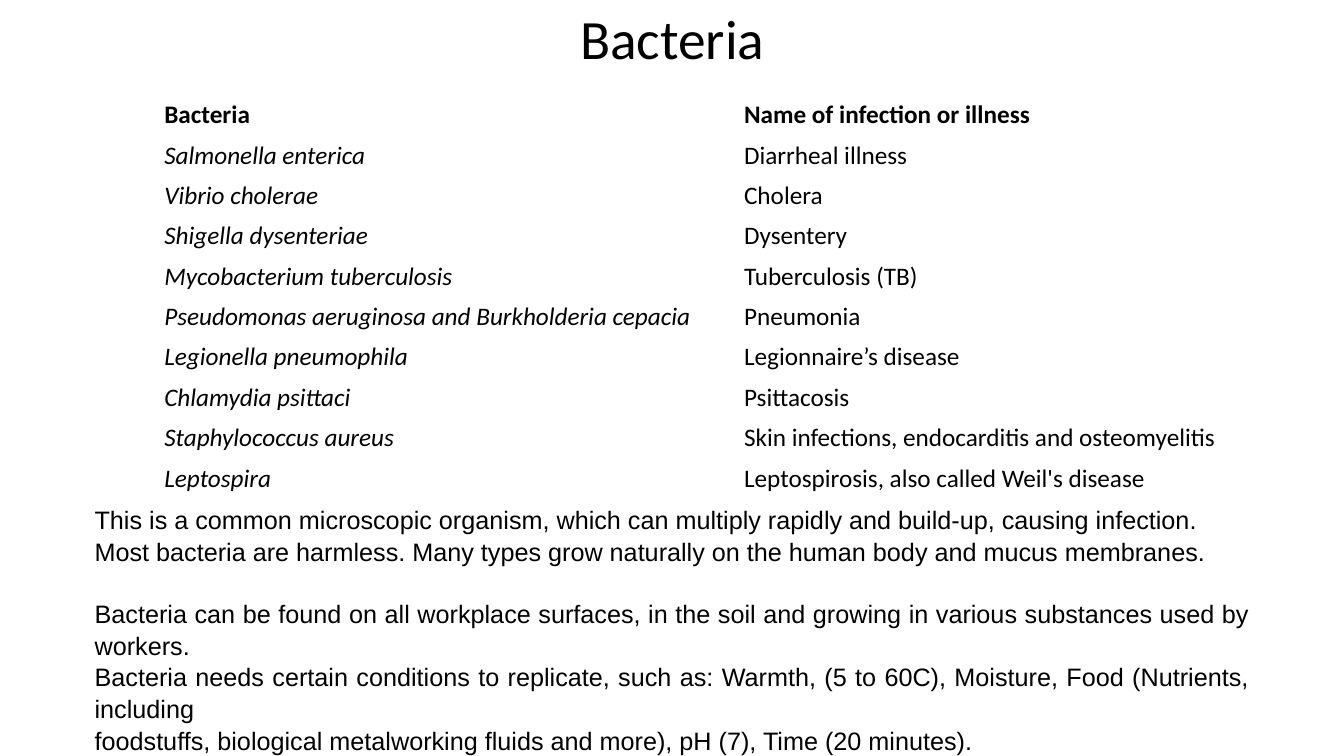
from pptx import Presentation
from pptx.dml.color import RGBColor
from pptx.enum.text import MSO_ANCHOR as Anchor, PP_ALIGN as Align
from pptx.util import Inches, Pt

COLORS = {"text": "000000"}
TITLE = "Bacteria"
ROWS = [
    ("Bacteria", "Name of infection or illness"),
    ("Salmonella enterica", "Diarrheal illness"),
    ("Vibrio cholerae", "Cholera"),
    ("Shigella dysenteriae", "Dysentery"),
    ("Mycobacterium tuberculosis", "Tuberculosis (TB)"),
    ("Pseudomonas aeruginosa and Burkholderia cepacia", "Pneumonia"),
    ("Legionella pneumophila", "Legionnaire’s disease"),
    ("Chlamydia psittaci", "Psittacosis"),
    ("Staphylococcus aureus", "Skin infections, endocarditis and osteomyelitis"),
    ("Leptospira", "Leptospirosis, also called Weil's disease"),
]
NOTES = [
    ("This is a common microscopic organism, which can multiply rapidly and build-up, causing infection.", 0),
    ("Most bacteria are harmless. Many types grow naturally on the human body and mucus membranes.", 0),
    ("Bacteria can be found on all workplace surfaces, in the soil and growing in various substances used by workers.", 21.7),
    ("Bacteria needs certain conditions to replicate, such as: Warmth, (5 to 60C), Moisture, Food (Nutrients, including", 0),
    ("foodstuffs, biological metalworking fluids and more), pH (7), Time (20 minutes).", 0),
]


def style(para, text, size, face, bold=False, italic=False):
    """Write a paragraph and set its font."""
    para.text = text
    font = para.font
    font.size, font.name = Pt(size), face
    font.bold, font.italic = bold, italic
    font.color.rgb = RGBColor.from_string(COLORS["text"])


def add_box(slide, place, anchor):
    """Add a wrapping text box and return its frame."""
    frame = slide.shapes.add_textbox(*map(Inches, place)).text_frame
    frame.word_wrap = True
    frame.vertical_anchor = anchor
    return frame


def add_grid(slide):
    """Add the table of bacteria and illnesses."""
    place = map(Inches, (1.53, 0.94, 11.5, 4))
    table = slide.shapes.add_table(len(ROWS), 2, *place).table
    table.first_row = table.horz_banding = False
    for r, row in enumerate(ROWS):
        for c, text in enumerate(row):
            cell = table.cell(r, c)
            cell.fill.background()
            cell.vertical_anchor = Anchor.MIDDLE
            style(cell.text_frame.paragraphs[0], text, 18, "Calibri",
                  bold=r == 0, italic=r > 0 and c == 0)


def main():
    """Build and save the slide."""
    deck = Presentation()
    deck.slide_width, deck.slide_height = Inches(13.33), Inches(7.5)
    slide = deck.slides.add_slide(deck.slide_layouts[6])

    head = add_box(slide, (0.92, 0.04, 11.5, 0.75), Anchor.MIDDLE).paragraphs[0]
    style(head, TITLE, 39.6, "Calibri")
    head.alignment, head.line_spacing = Align.CENTER, 0.9

    frame = add_box(slide, (0.84, 4.94, 11.65, 2.83), Anchor.TOP)
    for i, (text, gap) in enumerate(NOTES):
        para = frame.add_paragraph() if i else frame.paragraphs[0]
        style(para, text, 18, "Arial")
        para.alignment, para.line_spacing = Align.JUSTIFY, 1.05
        if gap:
            para.space_before = Pt(gap)

    add_grid(slide)
    deck.save("out.pptx")


if __name__ == "__main__":
    main()
